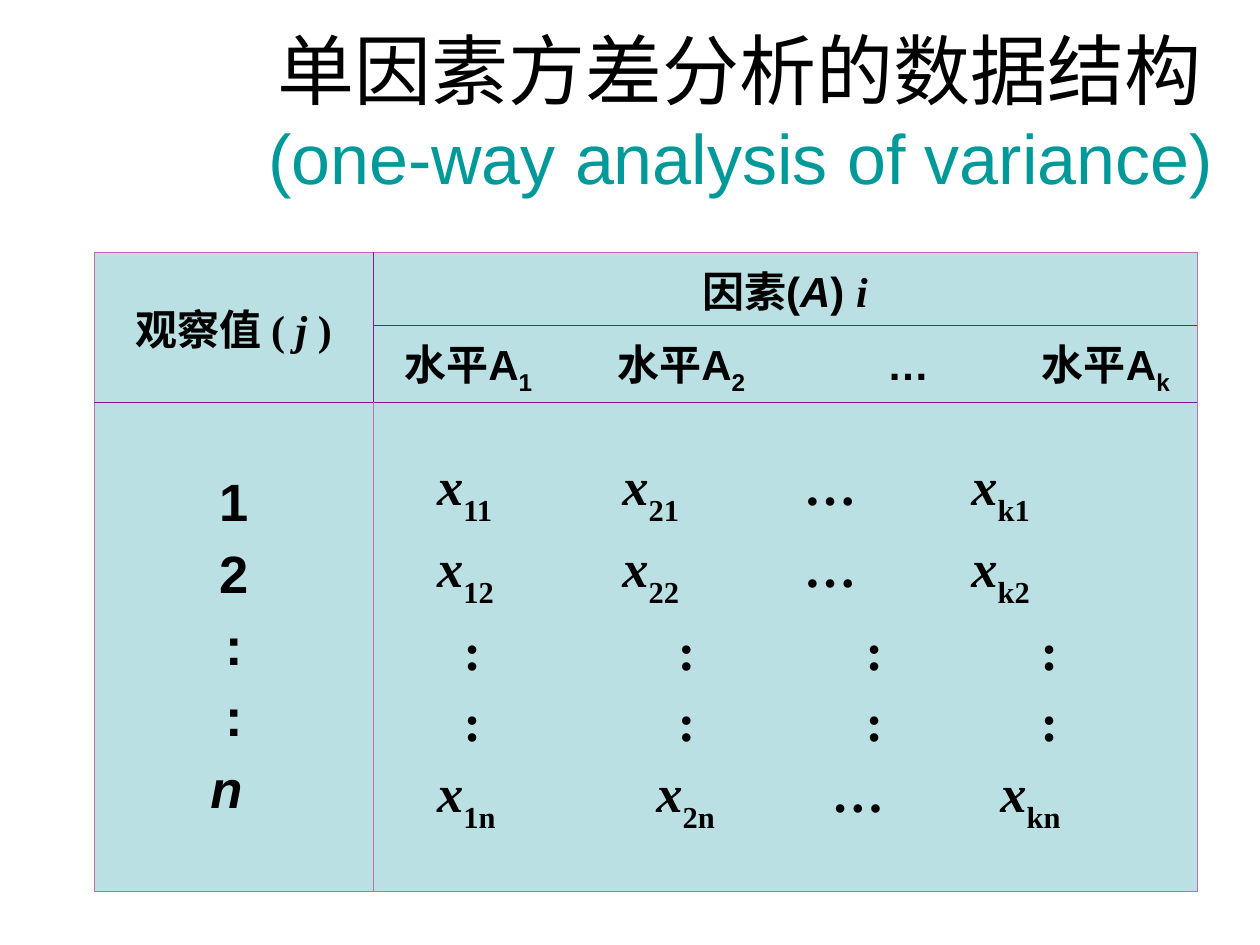
from lxml.etree import SubElement as Sub
from pptx import Presentation
from pptx.dml.color import RGBColor as RGB
from pptx.enum.text import MSO_ANCHOR as ANCHOR, PP_ALIGN as ALIGN
from pptx.oxml.ns import qn
from pptx.util import Inches, Pt

COLORS = {"black": "000000", "teal": "009999", "cell": "BBE0E3",
          "pink": "C06EB2", "purple": "87188A"}
CJK, SANS, SERIF = "Noto Sans CJK SC", "Arial", "Times New Roman"


def add_run(p, text, size, font=SANS, color="black", bold=True, italic=False, sub=0):
    r = p.add_run()
    r.text = text
    f = r.font
    f.size, f.name, f.bold, f.italic = Pt(size), font, bold, italic
    f.color.rgb = RGB.from_string(COLORS[color])
    rPr = r._r.get_or_add_rPr()
    if sub:
        rPr.set("baseline", str(-sub * 1000))
    ea = rPr.makeelement(qn("a:ea"), {"typeface": CJK})
    rPr.find(qn("a:latin")).addnext(ea)


def set_tabs(p, stops):
    tabs = Sub(p._p.get_or_add_pPr(), qn("a:tabLst"))
    for stop in stops:
        Sub(tabs, qn("a:tab"), pos=str(Inches(stop)), algn="l")


prs = Presentation()
prs.slide_width, prs.slide_height = Inches(10), Inches(7.5)
s = prs.slides.add_slide(prs.slide_layouts[5])

# Title in two lines
title = s.shapes.title
title.left, title.top, title.width, title.height = map(Inches, (2, 0.25, 7.75, 1.25))
tf = title.text_frame
tf.word_wrap, tf.vertical_anchor = True, ANCHOR.MIDDLE
p = tf.paragraphs[0]
p.alignment = ALIGN.CENTER
add_run(p, "单因素方差分析的数据结构", 44, bold=False)
p.add_line_break()
add_run(p, "(one-way analysis of variance)", 40, color="teal", bold=False)

# Table grid
cols, rows = (2.21, 6.54), (0.58, 0.61, 3.88)
table = s.shapes.add_table(3, 2, Inches(0.75), Inches(2), Inches(sum(cols)),
                           Inches(sum(rows))).table
for col, width in zip(table.columns, cols):
    col.width = Inches(width)
for row, height in zip(table.rows, rows):
    row.height = Inches(height)
table.cell(0, 0).merge(table.cell(1, 0))

# Cell fills and borders: left, right, top, bottom
borders = {(0, 0): ("pink", "purple", "pink", "purple"),
           (1, 0): ("pink", "purple", "pink", "purple"),
           (0, 1): ("purple", "pink", "pink", "purple"),
           (1, 1): ("purple", "pink", "purple", "purple"),
           (2, 0): ("pink", "pink", "purple", "pink"),
           (2, 1): ("pink", "pink", "purple", "pink")}
for (row, col), edges in borders.items():
    cell = table.cell(row, col)
    cell.vertical_anchor = ANCHOR.MIDDLE
    tcPr = cell._tc.get_or_add_tcPr()
    for side, color in zip("LRTB", edges):
        ln = Sub(tcPr, qn("a:ln" + side), w=str(Pt(0.45)))
        Sub(Sub(ln, qn("a:solidFill")), qn("a:srgbClr"), val=COLORS[color])
    cell.fill.solid()
    cell.fill.fore_color.rgb = RGB.from_string(COLORS["cell"])

# Header cells
p = table.cell(0, 0).text_frame.paragraphs[0]
p.alignment = ALIGN.CENTER
add_run(p, "观察值 ", 24, CJK)
add_run(p, "( ", 24, SERIF)
add_run(p, "j ", 24, SERIF, italic=True)
add_run(p, ")", 24, SERIF)

p = table.cell(0, 1).text_frame.paragraphs[0]
p.alignment = ALIGN.CENTER
add_run(p, "因素(", 24)
add_run(p, "A", 24, italic=True)
add_run(p, ") ", 24)
add_run(p, "i", 24, SERIF, italic=True)

# Factor levels
p = table.cell(1, 1).text_frame.paragraphs[0]
set_tabs(p, (0.15, 1.84, 3.98, 5.21))
for level in ("1", "2", "…", "k"):
    if level == "…":
        add_run(p, "\t…", 24)
    else:
        add_run(p, "\t水平A", 24)
        add_run(p, level, 24, sub=25)

# Observation numbers and values, one paragraph per observation
low, dots, last = (0.41, 1.88, 3.32, 4.65), (0.62, 2.32, 3.81, 5.2), (0.41, 2.15, 3.54, 4.88)
observations = [("1", low), ("2", low), (":", dots), (":", dots), ("n", last)]
numbers, values = (table.cell(2, col).text_frame for col in (0, 1))
for k, (j, stops) in enumerate(observations):
    p, q = (tf.add_paragraph() if k else tf.paragraphs[0] for tf in (numbers, values))
    set_tabs(q, stops)
    if k:
        p.space_before = q.space_before = Pt(7.5)
    p.alignment = ALIGN.CENTER
    add_run(p, "n " if j == "n" else j, 30, italic=j == "n")
    for i in ("1", "2", "…", "k"):
        if j == ":" or i == "…":
            add_run(q, "\t" + (j if j == ":" else i), 30, SERIF)
        else:
            add_run(q, "\tx", 30, SERIF, italic=True)
            add_run(q, i + j, 30, SERIF, sub=30)

prs.save("out.pptx")
